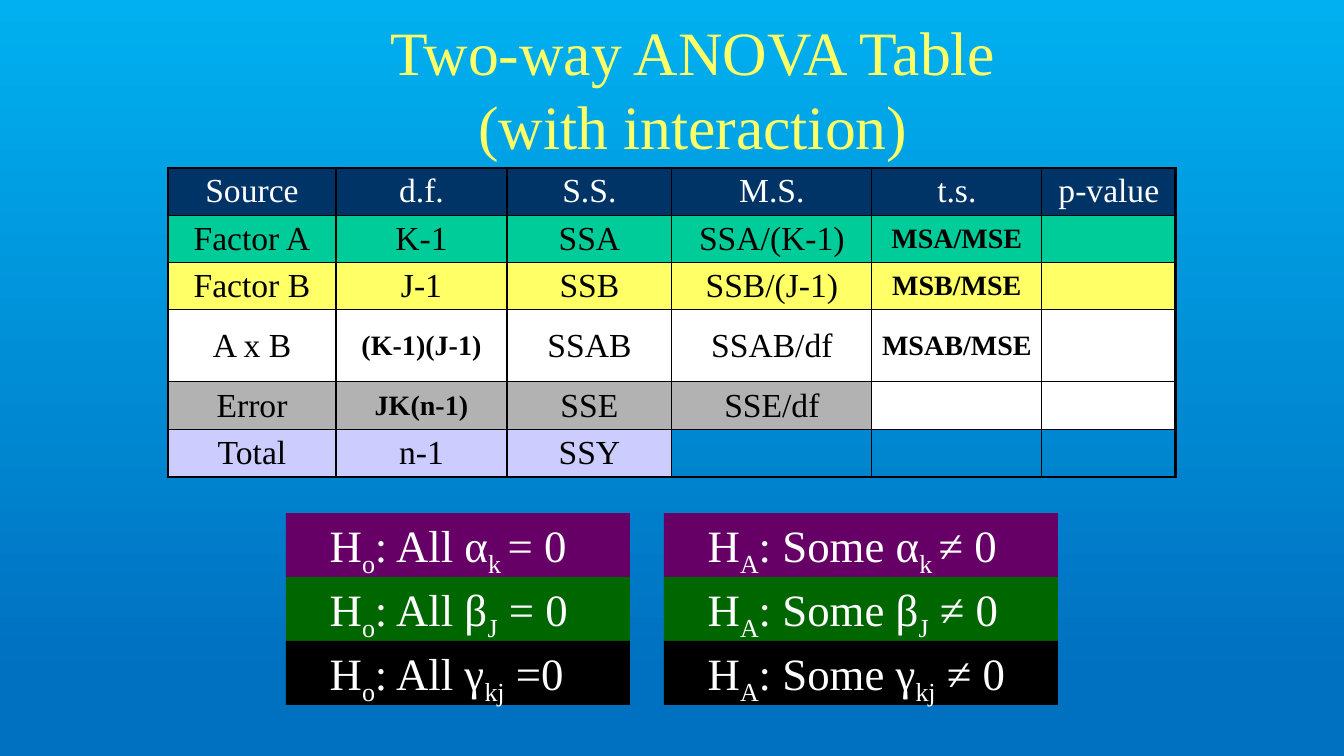
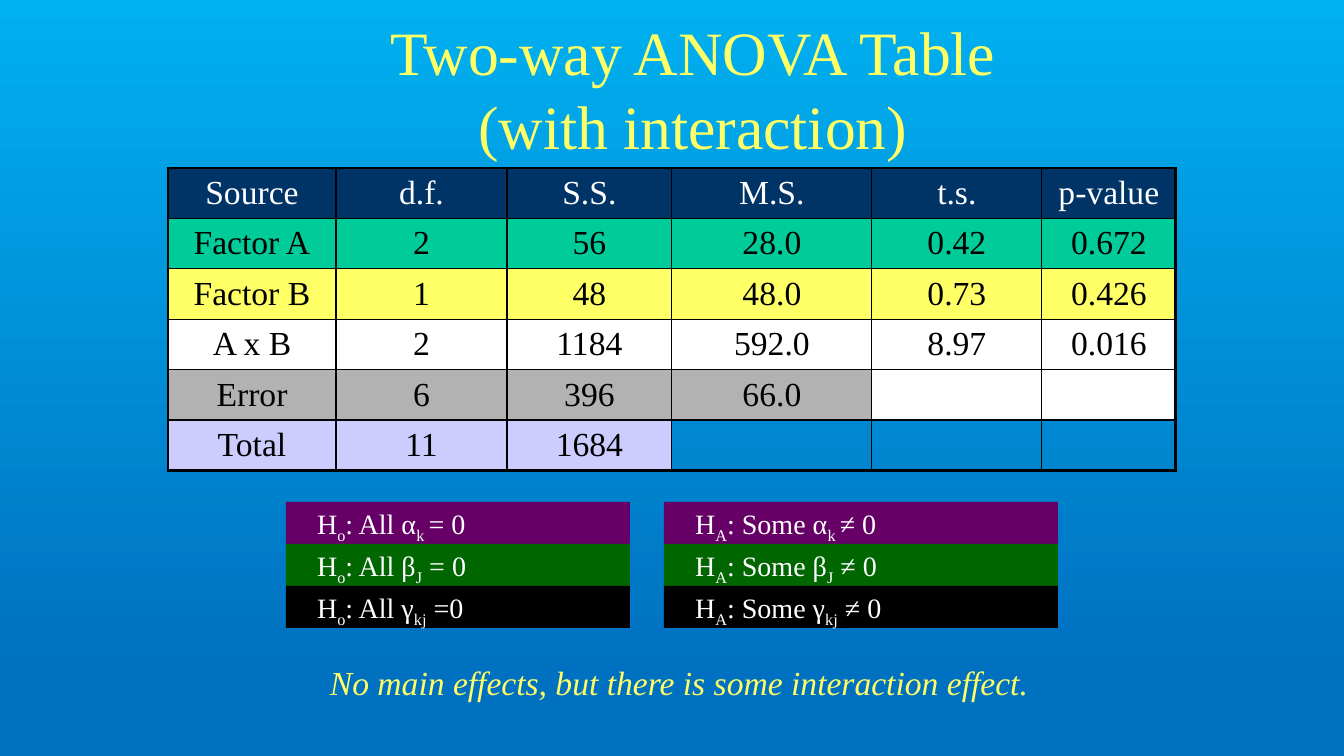
from dataclasses import dataclass
from itertools import accumulate, product

from lxml.etree import SubElement
from pptx import Presentation
from pptx.dml.color import RGBColor
from pptx.enum.shapes import MSO_SHAPE
from pptx.enum.text import MSO_ANCHOR, PP_ALIGN
from pptx.oxml.ns import qn
from pptx.util import Emu, Pt


@dataclass(frozen=True)
class Theme:
    """Colours, font and type sizes shared by the slides."""
    font: str = "Times New Roman"
    sky: str = "00B0F0"
    sea: str = "0070C0"
    accent: str = "FFFF66"
    light: str = "FFFFFF"
    dark: str = "000000"
    rows: tuple = ("003366", "00CC99", "FFFF66", "FFFFFF", "B2B2B2", "CCCCFF")
    bands: tuple = ("660066", "006600", "000000")
    title: int = 44
    body: int = 24
    small: int = 20
    thick: float = 2.25
    thin: float = 1


THEME = Theme()
WIDTHS = (168, 171, 165, 200, 170, 134)
HEADS = ("Source", "d.f.", "S.S.", "M.S.", "t.s.", "p-value")
NAMES = ("Factor A", "Factor B", "A x B", "Error", "Total")
FORMULAS = (
    ("K-1", "SSA", "SSA/(K-1)", "MSA/MSE", ""),
    ("J-1", "SSB", "SSB/(J-1)", "MSB/MSE", ""),
    ("(K-1)(J-1)", "SSAB", "SSAB/df", "MSAB/MSE", ""),
    ("JK(n-1)", "SSE", "SSE/df", "", ""),
    ("n-1", "SSY", "", "", ""),
)
VALUES = (
    ("2", "56", "28.0", "0.42", "0.672"),
    ("1", "48", "48.0", "0.73", "0.426"),
    ("2", "1184", "592.0", "8.97", "0.016"),
    ("6", "396", "66.0", "", ""),
    ("11", "1684", "", "", ""),
)
BOLD = {"MSA/MSE", "MSB/MSE", "MSAB/MSE", "(K-1)(J-1)", "JK(n-1)"}
# Left edge, width, mark of H, quantifier, and the ending of each line
CLAIMS = (
    (286, 344, "o", "All", ("= 0", " = 0", " =0")),
    (664, 394, "A", "Some", ("≠ 0", " ≠ 0", " ≠ 0")),
)
TERMS = (("α", "k "), ("β", "J"), ("γ", "kj"))


def px(*sizes):
    """Turn pixels into EMU lengths."""
    return [Emu(round(size * 914400 / 100.8)) for size in sizes]


def color(code):
    """Turn a hex code into a colour."""
    return RGBColor.from_string(code)


def add_run(para, text, size, tint, bold=False, italic=False, base=0):
    """Append one formatted run, lowered when base is negative."""
    run = para.add_run()
    run.text = text
    font = run.font
    font.name, font.size = THEME.font, Pt(size)
    font.bold, font.italic = bold, italic
    font.color.rgb = color(tint)
    if base:
        run._r.get_or_add_rPr().set("baseline", str(base * 1000))


def paint_back(deck):
    """Give the master a vertical gradient."""
    fill = deck.slide_master.background.fill
    fill.gradient()
    fill.gradient_angle = 270
    for stop, tint, spot in zip(fill.gradient_stops, (THEME.sky, THEME.sea), (0, 0.9)):
        stop.color.rgb = color(tint)
        stop.position = spot


def add_title(slide, text):
    """Place and format the title."""
    title = slide.shapes.title
    title.left, title.top, title.width, title.height = px(336, 25, 714, 126)
    frame = title.text_frame
    frame.word_wrap = True
    frame.vertical_anchor = MSO_ANCHOR.MIDDLE
    para = frame.paragraphs[0]
    para.alignment = PP_ALIGN.CENTER
    add_run(para, text, THEME.title, THEME.accent)


def set_edges(cell, row, col, last_row, last_col):
    """Draw thick outer and thin inner cell borders."""
    props = cell._tc.get_or_add_tcPr()
    outer = {"L": col == 0, "R": col == last_col, "T": row == 0, "B": row == last_row}
    for spot, (side, thick) in enumerate(outer.items()):
        width = Pt(THEME.thick if thick else THEME.thin)
        line = SubElement(props, qn(f"a:ln{side}"), w=str(width))
        fill = SubElement(line, qn("a:solidFill"))
        SubElement(fill, qn("a:srgbClr"), val=THEME.dark)
        props.insert(spot, line)


def fill_cell(cell, text, row, col):
    """Fill one cell and write its text."""
    if text or row < len(NAMES):
        # The empty end of the Error row is white
        tint = THEME.rows[row] if text or row < 4 else THEME.light
        cell.fill.solid()
        cell.fill.fore_color.rgb = color(tint)
    else:
        cell.fill.background()
    cell.vertical_anchor = MSO_ANCHOR.MIDDLE
    para = cell.text_frame.paragraphs[0]
    para.alignment = PP_ALIGN.CENTER
    if text:
        bold = text in BOLD
        add_run(para, text, THEME.small if bold else THEME.body,
                THEME.dark if row else THEME.light, bold)


def add_grid(slide, body, heights):
    """Add the table of sources of variation."""
    data = [HEADS] + [(name, *line) for name, line in zip(NAMES, body)]
    rows, cols = len(data), len(HEADS)
    box = px(168, 168, sum(WIDTHS), sum(heights))
    table = slide.shapes.add_table(rows, cols, *box).table
    table.first_row = table.horz_banding = False
    for part, size in zip(table.columns, px(*WIDTHS)):
        part.width = size
    for part, size in zip(table.rows, px(*heights)):
        part.height = size
    for row, col in product(range(rows), range(cols)):
        cell = table.cell(row, col)
        fill_cell(cell, data[row][col], row, col)
        set_edges(cell, row, col, rows - 1, cols - 1)


def add_band(slide, box, tint, size, runs):
    """Add a coloured band with one hypothesis."""
    band = slide.shapes.add_shape(MSO_SHAPE.RECTANGLE, *px(*box))
    band.shadow.inherit = False
    band.fill.solid()
    band.fill.fore_color.rgb = color(tint)
    band.line.fill.background()
    frame = band.text_frame
    frame.word_wrap = True
    frame.vertical_anchor = MSO_ANCHOR.TOP
    frame.margin_left += Pt(size * 0.75)
    para = frame.paragraphs[0]
    para.alignment = PP_ALIGN.LEFT
    for text, base in runs:
        add_run(para, text, size, THEME.light, base=base)


def add_claims(slide, top, step, size):
    """Stack the null and the alternative hypotheses."""
    tops = list(accumulate([step] * 2, initial=top))
    for left, width, mark, scope, ends in CLAIMS:
        for y, tint, (sign, index), end in zip(tops, THEME.bands, TERMS, ends):
            runs = (("H", 0), (mark, -25), (f": {scope} {sign}", 0), (index, -25), (end, 0))
            add_band(slide, (left, y, width, step), tint, size, runs)


def add_note(slide, text):
    """Add the closing remark in italics."""
    frame = slide.shapes.add_textbox(*px(320, 657, 874, 50)).text_frame
    frame.word_wrap = True
    add_run(frame.paragraphs[0], text, THEME.body, THEME.accent, italic=True)


def add_page(deck, body, heights, top, step, size):
    """Add a slide with title, table and hypotheses."""
    slide = deck.slides.add_slide(deck.slide_layouts[5])
    add_title(slide, "Two-way ANOVA Table (with interaction)")
    add_grid(slide, body, heights)
    add_claims(slide, top, step, size)
    return slide


def main():
    """Build and save the deck."""
    deck = Presentation()
    deck.slide_width, deck.slide_height = px(1344, 756)
    paint_back(deck)
    add_page(deck, FORMULAS, (47, 47, 47, 72, 48, 47), 513, 64, 32)
    slide = add_page(deck, VALUES, [50.4] * 6, 502, 42, 20)
    add_note(slide, "No main effects, but there is some interaction effect.")
    deck.save("out.pptx")


main()
